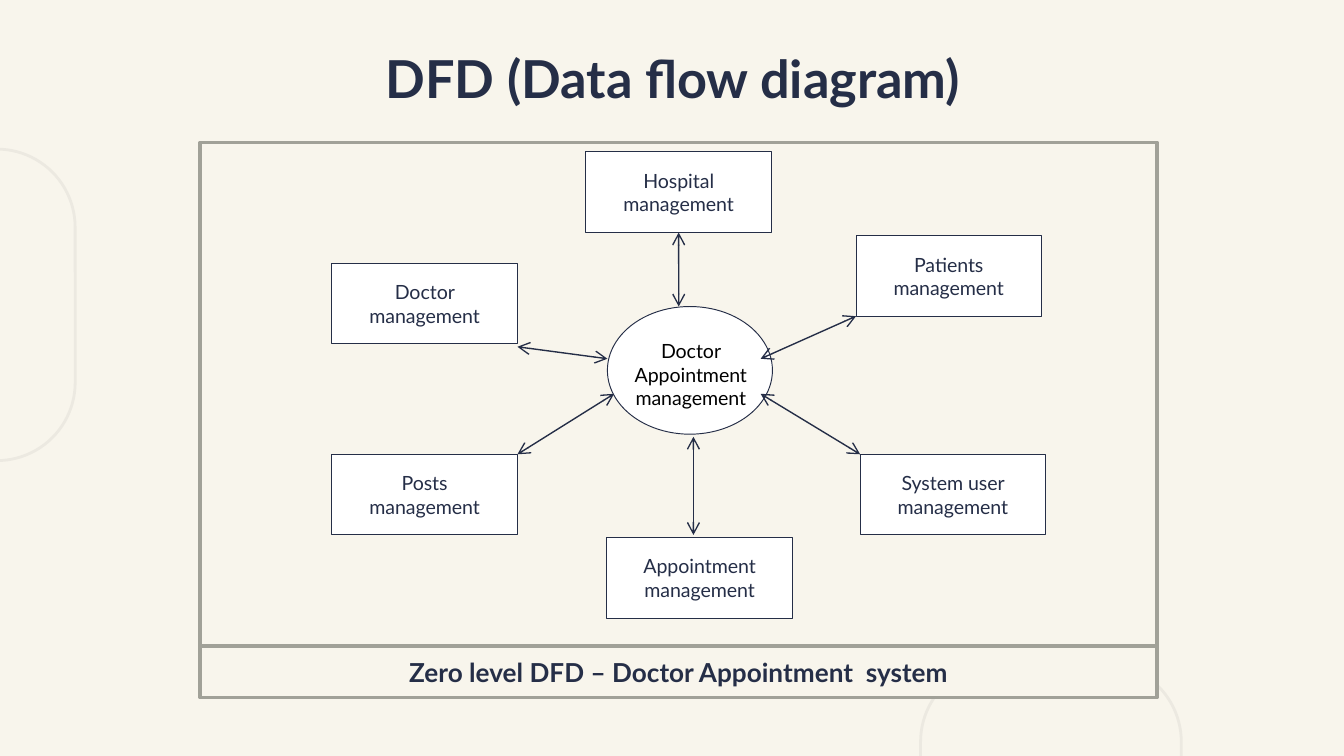
from dataclasses import dataclass
from typing import Optional

from lxml.etree import SubElement
from pptx import Presentation
from pptx.dml.color import RGBColor
from pptx.enum.shapes import MSO_CONNECTOR, MSO_SHAPE
from pptx.enum.text import MSO_ANCHOR, PP_ALIGN
from pptx.oxml.ns import qn
from pptx.util import Pt

NAVY, WHITE, BLACK = "252E47", "FFFFFF", "000000"
CREAM, FRAME_GREY, DECOR_GREY = "F8F5EC", "A1A198", "ECE9E1"
BOX_WIDTH, BOX_HEIGHT = 99.4, 43.2
FRAME_LEFT, FRAME_WIDTH = 107.3, 512.6
FRAME_TOP, CAPTION_TOP, CAPTION_HEIGHT = 76.3, 346.3, 27.4


@dataclass
class Box:
    text: str
    left: float
    top: float


@dataclass
class Flow:
    start: tuple[float, float]
    end: tuple[float, float]
    source: Optional[str] = None  # box whose bottom centre the arrow joins


BOXES = [
    Box("Doctor management", 177.8, 141.1),
    Box("Posts management", 177.8, 243.4),
    Box("System user management", 460.8, 243.4),
    Box("Hospital management", 313.9, 81.4),
    Box("Patients management", 458.6, 126.4),
    Box("Appointment management", 325.1, 288),
]
FLOWS = [
    Flow((363.6, 124.6), (363.6, 164.2), "Hospital management"),
    Flow((458.6, 169.4), (407.5, 192.2)),
    Flow((460.8, 243.4), (407.5, 211)),
    Flow((371.5, 286.6), (371.5, 234)),
    Flow((277.2, 243.4), (329, 211)),
    Flow((277.2, 185.8), (325.4, 192.2)),
]
DECORATIONS = [(-99.4, 79.9), (493.2, 355.5)]


def color(hex_value: str) -> RGBColor:
    return RGBColor.from_string(hex_value)


def write_text(shape, text: str, size: float, text_color: str = NAVY,
               bold: bool = False, side_margin: float = 7.2) -> None:
    frame = shape.text_frame
    frame_format = {
        "word_wrap": True,
        "vertical_anchor": MSO_ANCHOR.MIDDLE,
        "margin_left": Pt(side_margin),
        "margin_right": Pt(side_margin),
        "margin_top": Pt(3.6),
        "margin_bottom": Pt(3.6),
    }
    for name, value in frame_format.items():
        setattr(frame, name, value)
    paragraph = frame.paragraphs[0]
    paragraph.alignment = PP_ALIGN.CENTER
    run = paragraph.add_run()
    run.text = text
    for name, value in {"name": "Lato", "size": Pt(size), "bold": bold}.items():
        setattr(run.font, name, value)
    run.font.color.rgb = color(text_color)


def add_outlined(slide, kind, left: float, top: float, width: float, height: float,
                 line: str, line_width: float, fill: Optional[str] = None):
    shape = slide.shapes.add_shape(kind, Pt(left), Pt(top), Pt(width), Pt(height))
    shape.shadow.inherit = False
    if fill:
        shape.fill.solid()
        shape.fill.fore_color.rgb = color(fill)
    else:
        shape.fill.background()
    shape.line.color.rgb = color(line)
    shape.line.width = Pt(line_width)
    return shape


def add_box(slide, box: Box):
    shape = add_outlined(slide, MSO_SHAPE.RECTANGLE, box.left, box.top,
                         BOX_WIDTH, BOX_HEIGHT, NAVY, 0.5, WHITE)
    write_text(shape, box.text, 10.5, side_margin=9)
    return shape


def add_flow(slide, flow: Flow, box_shapes: dict) -> None:
    """Draw an arrow with an open head at both ends."""
    connector = slide.shapes.add_connector(
        MSO_CONNECTOR.STRAIGHT, *(Pt(value) for value in flow.start + flow.end))
    if flow.source:
        connector.begin_connect(box_shapes[flow.source], 2)
    connector.line.color.rgb = color(NAVY)
    connector.line.width = Pt(0.75)
    line_element = connector.line._get_or_add_ln()
    for end in ("a:headEnd", "a:tailEnd"):
        SubElement(line_element, qn(end), type="arrow")
    SubElement(connector._element.spPr, qn("a:effectLst"))


def add_title(slide) -> None:
    title = slide.shapes.title
    place = {"left": 56.9, "top": 18.8, "width": 607, "height": 45.4}
    for name, value in place.items():
        setattr(title, name, Pt(value))
    write_text(title, "DFD (Data flow diagram)", 28, bold=True)


def main() -> None:
    presentation = Presentation()
    presentation.slide_width, presentation.slide_height = Pt(720), Pt(405)
    slide = presentation.slides.add_slide(presentation.slide_layouts[5])
    slide.background.fill.solid()
    slide.background.fill.fore_color.rgb = color(CREAM)

    for left, top in DECORATIONS:
        decoration = add_outlined(slide, MSO_SHAPE.ROUNDED_RECTANGLE, left, top,
                                  139.7, 166.9, DECOR_GREY, 1.5)
        decoration.adjustments[0] = 0.3
    add_title(slide)

    add_outlined(slide, MSO_SHAPE.RECTANGLE, FRAME_LEFT, FRAME_TOP, FRAME_WIDTH,
                 CAPTION_TOP - FRAME_TOP, FRAME_GREY, 2, CREAM)
    box_shapes = {box.text: add_box(slide, box) for box in BOXES}

    add_outlined(slide, MSO_SHAPE.OVAL, 325.4, 164.2, 88.4, 68.4, NAVY, 0.5, WHITE)
    process_label = slide.shapes.add_textbox(Pt(319), Pt(177.8), Pt(102.2), Pt(45.4))
    write_text(process_label, "Doctor Appointment management", 10.5, BLACK)

    for flow in FLOWS:
        add_flow(slide, flow, box_shapes)

    caption = add_outlined(slide, MSO_SHAPE.RECTANGLE, FRAME_LEFT, CAPTION_TOP,
                           FRAME_WIDTH, CAPTION_HEIGHT, FRAME_GREY, 2, CREAM)
    write_text(caption, "Zero level DFD – Doctor Appointment  system", 14, bold=True)
    presentation.save("out.pptx")


if __name__ == "__main__":
    main()
